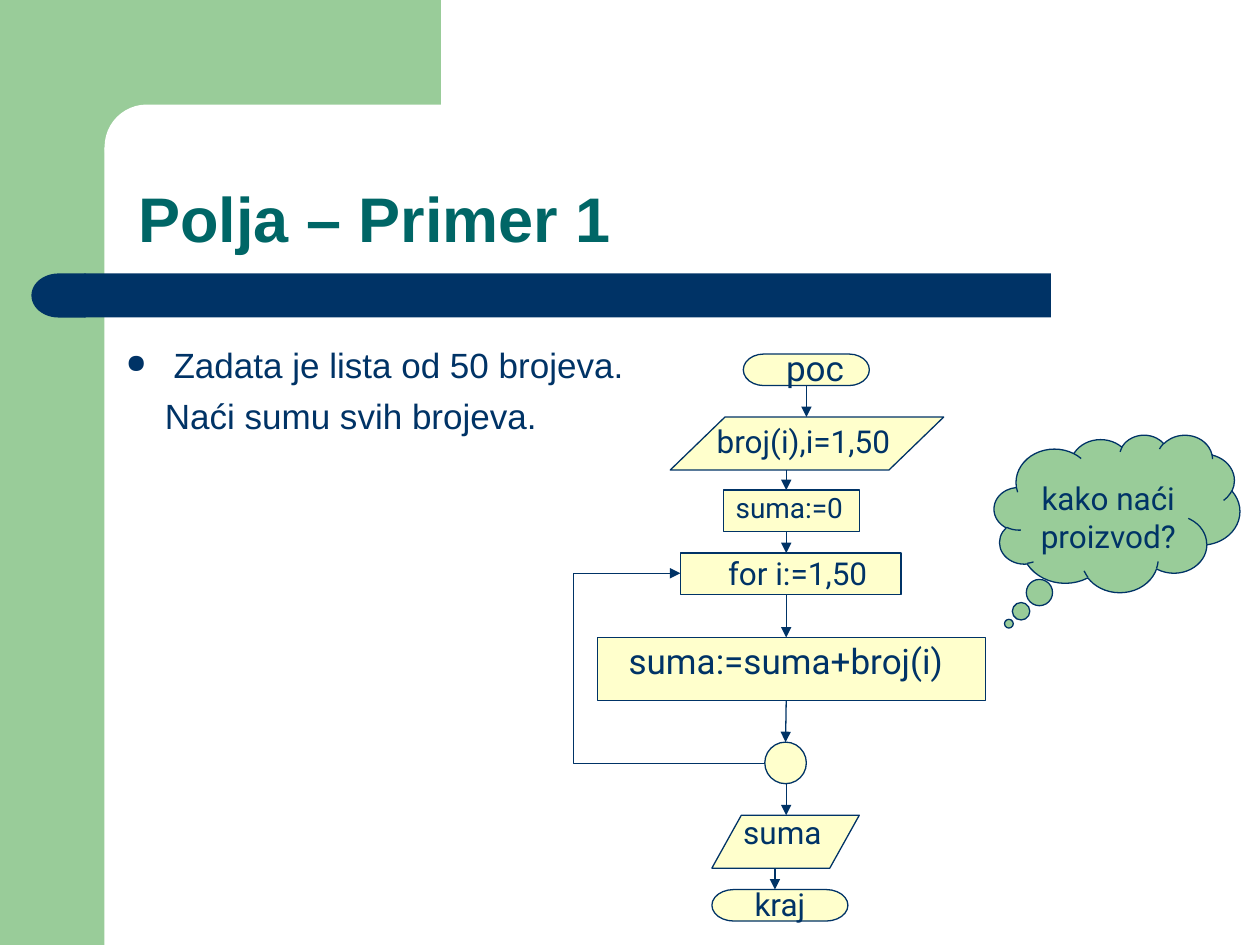
from dataclasses import dataclass
from lxml import etree
from pptx import Presentation
from pptx import util as u
from pptx.dml.color import RGBColor
from pptx.enum import shapes, text
from pptx.oxml.ns import qn


@dataclass(frozen=True)
class Theme:
    green: str = "99CC99"
    navy: str = "003366"
    teal: str = "006666"
    cream: str = "FFFFCC"
    white: str = "FFFFFF"
    head: str = "Arial"
    flow: str = "Roboto"
    title: int = 36
    large: int = 20
    medium: int = 18
    small: int = 16
    line: float = 0.75


T = Theme()
M = shapes.MSO_SHAPE
prs = Presentation()
prs.slide_width, prs.slide_height = u.Inches(10), u.Inches(7.5)
s = prs.slides.add_slide(prs.slide_layouts[6])


def add_shape(kind, box, fill, outlined=False):
    sp = s.shapes.add_shape(kind, *map(u.Inches, box))
    sp.shadow.inherit = False
    sp.fill.solid()
    sp.fill.fore_color.rgb = RGBColor.from_string(fill)
    if outlined:
        sp.line.color.rgb = RGBColor.from_string(T.navy)
        sp.line.width = u.Pt(T.line)
    else:
        sp.line.fill.background()
    return sp


def add_run(p, words, size, font=T.flow, color=T.navy, bold=False):
    r = p.add_run()
    r.text = words
    r.font.size, r.font.name, r.font.bold = u.Pt(size), font, bold
    r.font.color.rgb = RGBColor.from_string(color)


add_shape(M.RECTANGLE, (0, 0, 0.83, 7.5), T.green)
add_shape(M.RECTANGLE, (0.75, 0, 2.75, 1.17), T.green)
corner = add_shape(M.ROUNDED_RECTANGLE, (0.83, 0.83, 5.58, 0.67), T.white)
corner.adjustments[0] = 0.5
add_shape(M.RECTANGLE, (0.67, 2.17, 7.67, 0.35), T.navy)
cap = add_shape(M.FLOWCHART_DELAY, (0.25, 2.17, 0.43, 0.35), T.navy)
cap._element.spPr.xfrm.set("flipH", "1")

title = s.shapes.add_textbox(*map(u.Inches, (1, 0.83, 8.75, 1.25)))
tf = title.text_frame
tf.word_wrap = True
tf.vertical_anchor = text.MSO_ANCHOR.BOTTOM
p = tf.paragraphs[0]
p.line_spacing = 0.9
add_run(p, "Polja – Primer 1", T.title, T.head, T.teal, True)

body = s.shapes.add_textbox(*map(u.Inches, (0.9, 2.68, 4.5, 0.9)))
tf = body.text_frame
tf.word_wrap = True
p = tf.paragraphs[0]
pPr = p._p.get_or_add_pPr()
pPr.set("marL", str(u.Inches(0.38)))
pPr.set("indent", str(u.Inches(-0.38)))
color = etree.SubElement(pPr, qn("a:buClr"))
etree.SubElement(color, qn("a:srgbClr"), val=T.navy)
etree.SubElement(pPr, qn("a:buSzPct"), val="75000")
etree.SubElement(pPr, qn("a:buChar"), char="●")
add_run(p, "Zadata je lista od 50 brojeva.", T.large, T.head)
p = tf.add_paragraph()
p._p.get_or_add_pPr().set("marL", str(u.Inches(0.31)))
p.space_before = u.Pt(5)
add_run(p, "Naći sumu svih brojeva.", T.large, T.head)

steps = [
    (M.FLOWCHART_TERMINATOR, (5.9, 2.81, 1, 0.25),
     "poc", (6.14, 2.69, 0.67, 0.44), T.large),
    (M.FLOWCHART_DATA, (5.32, 3.31, 2.17, 0.42),
     "broj(i),i=1,50", (5.59, 3.3, 1.66, 0.4), T.medium),
    (M.FLOWCHART_PROCESS, (5.74, 3.89, 1.08, 0.33),
     "suma:=0", (5.74, 3.84, 1.09, 0.37), T.small),
    (M.FLOWCHART_PROCESS, (5.4, 4.39, 1.75, 0.33),
     "for i:=1,50", (5.68, 4.35, 1.37, 0.4), T.medium),
    (M.RECTANGLE, (4.74, 5.06, 3.08, 0.5),
     "suma:=suma+broj(i)", (4.89, 5.02, 2.7, 0.44), T.large),
    (M.FLOWCHART_CONNECTOR, (6.07, 5.89, 0.33, 0.33), "", None, None),
    (M.FLOWCHART_DATA, (5.65, 6.47, 1.17, 0.42),
     "suma", (5.8, 6.4, 0.85, 0.4), T.medium),
    (M.FLOWCHART_TERMINATOR, (5.65, 7.06, 1.08, 0.25),
     "kraj", (5.89, 6.97, 0.64, 0.4), T.medium),
]
nodes = []
for kind, box, words, label_box, size in steps:
    nodes.append(add_shape(kind, box, T.cream, True))
    if words:
        label = s.shapes.add_textbox(*map(u.Inches, label_box))
        tf = label.text_frame
        tf.word_wrap = False
        tf.vertical_anchor = text.MSO_ANCHOR.BOTTOM
        add_run(tf.paragraphs[0], words, size)

arrows = []
for x, above, below in zip([6.4] + [6.24] * 5 + [6.15], nodes, nodes[1:]):
    arrows.append(s.shapes.add_connector(
        shapes.MSO_CONNECTOR.STRAIGHT,
        u.Inches(x), above.top + above.height, u.Inches(x), below.top))
arrows[0].begin_connect(nodes[0], 2)
arrows[4].end_connect(nodes[5], 0)

loop = s.shapes.add_connector(
    shapes.MSO_CONNECTOR.ELBOW, *map(u.Inches, (5.4, 4.55, 6.07, 6.06)))
loop._element.spPr.xfrm.set("rot", "10800000")
guides = loop._element.spPr.find(qn("a:prstGeom")).get_or_add_avLst()
etree.SubElement(guides, qn("a:gd"), name="adj1", fmla="val 227000")

for arrow in arrows + [loop]:
    arrow.line.color.rgb = RGBColor.from_string(T.navy)
    arrow.line.width = u.Pt(T.line)
    ln = arrow.line._get_or_add_ln()
    etree.SubElement(ln, qn("a:tailEnd"), type="triangle")
    etree.SubElement(arrow._element.spPr, qn("a:effectLst"))

cloud = add_shape(M.CLOUD_CALLOUT, (7.89, 3.45, 1.95, 1.25), T.green, True)
cloud.adjustments[0], cloud.adjustments[1] = -0.44, 0.7
tf = cloud.text_frame
tf.word_wrap = True
tf.vertical_anchor = text.MSO_ANCHOR.BOTTOM
p = tf.paragraphs[0]
p.alignment = text.PP_ALIGN.CENTER
add_run(p, "kako naći proizvod?", T.medium)

prs.save("out.pptx")
